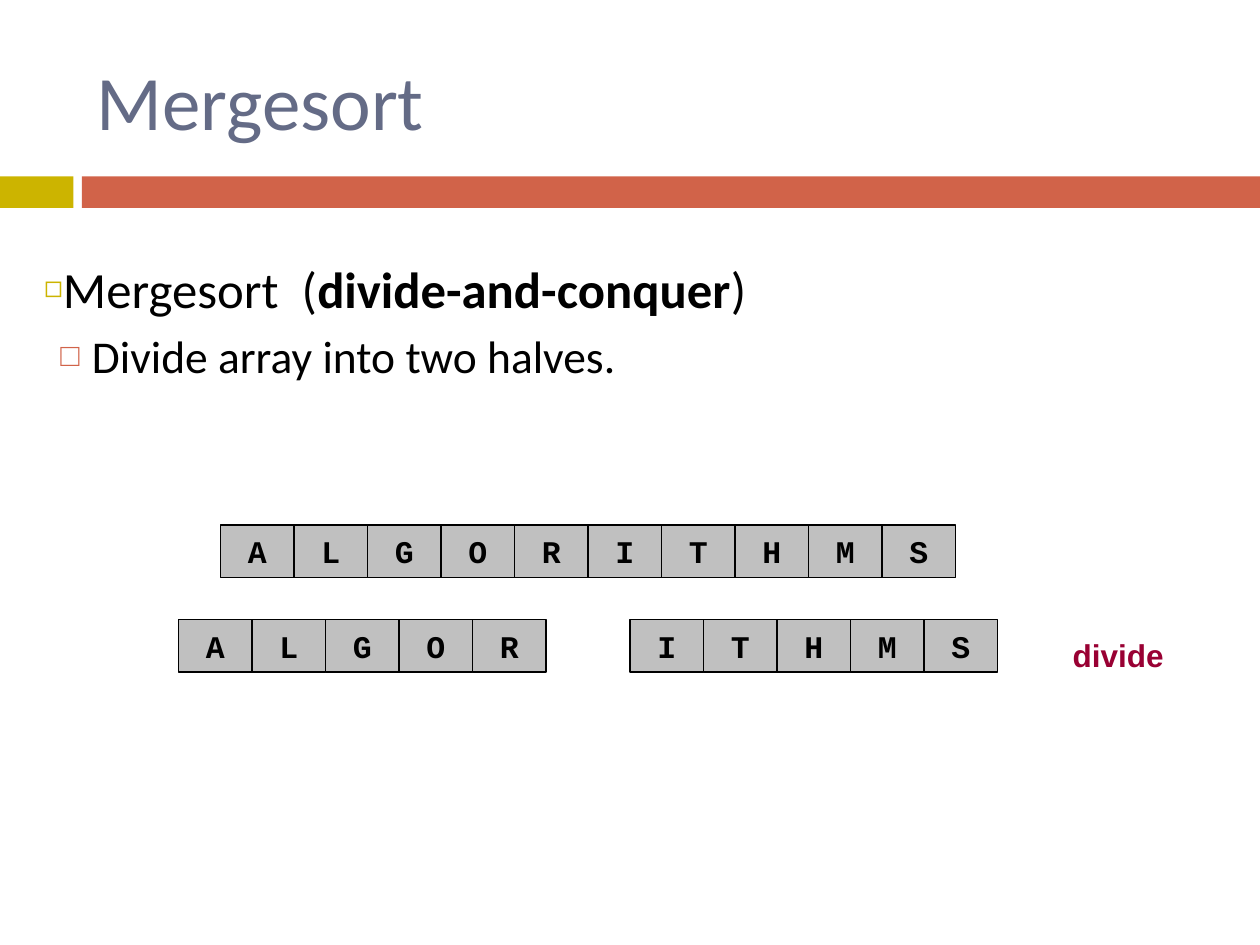
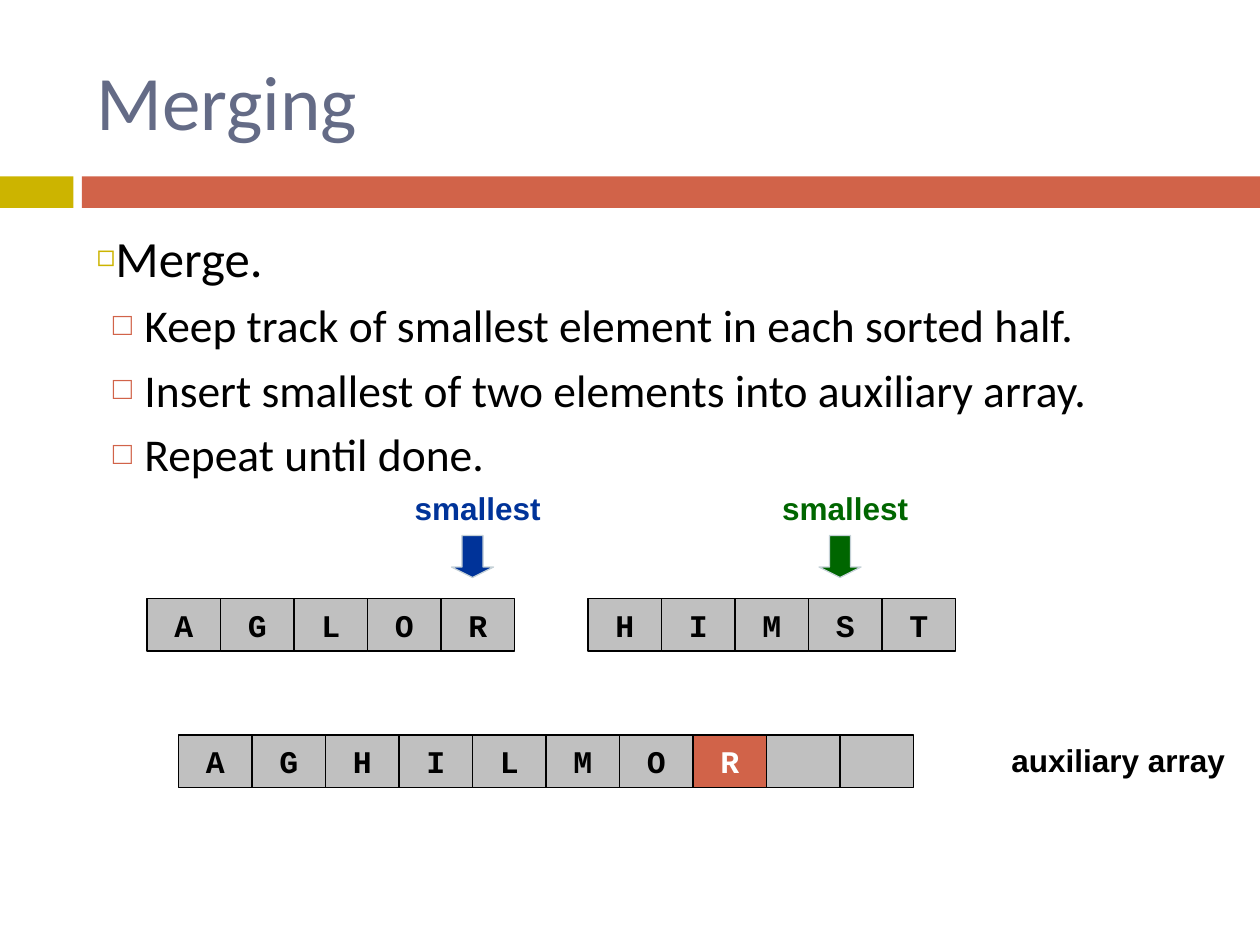
"""Build two slides that explain how mergesort divides and merges an array."""
from dataclasses import dataclass

from lxml import etree
from pptx import Presentation
from pptx.dml.color import RGBColor
from pptx.enum.shapes import MSO_SHAPE
from pptx.enum.text import MSO_ANCHOR, MSO_AUTO_SIZE, PP_ALIGN
from pptx.oxml.ns import qn
from pptx.util import Inches, Pt

RECTANGLE, DOWN_ARROW = MSO_SHAPE.RECTANGLE, MSO_SHAPE.DOWN_ARROW
LEFT, CENTER = PP_ALIGN.LEFT, PP_ALIGN.CENTER
TOP, MIDDLE = MSO_ANCHOR.TOP, MSO_ANCHOR.MIDDLE
NO_AUTOFIT = MSO_AUTO_SIZE.NONE

WIDTH, HEIGHT = Inches(10), Inches(7.5)
COLUMNS = 120
UNIT = WIDTH / COLUMNS
CELL_WIDTH, CELL_HEIGHT = 7, 5

BLACK, WHITE, SLATE = "000000", "FFFFFF", "646B86"
GOLD, RUST, SILVER = "CCB400", "D16349", "C0C0C0"
BLUE, GREEN, CRIMSON, MIST = "003399", "006600", "990033", "C5D1D7"
BODY_FONT, LABEL_FONT, CELL_FONT = "Calibri", "Arial", "Courier New"


@dataclass(frozen=True)
class Box:
    """A place on the slide in grid columns and rows."""
    column: float
    row: float
    columns: float
    rows: float

    def lengths(self) -> tuple[int, ...]:
        """Return left, top, width and height as slide lengths."""
        return tuple(round(n * UNIT) for n in
                     (self.column, self.row, self.columns, self.rows))


@dataclass(frozen=True)
class Level:
    """The look of one list level."""
    size: float
    space_before: float
    margin: float
    indent: float
    bullet: str
    bullet_color: str
    bullet_percent: int


@dataclass(frozen=True)
class Item:
    """A list line made of (text, bold) pieces."""
    level: int
    pieces: tuple[tuple[str, bool], ...]


@dataclass(frozen=True)
class Array:
    """A row of letter cells, with an optional highlighted index."""
    column: float
    row: float
    letters: str
    highlight: int = -1


@dataclass(frozen=True)
class Label:
    """A short bold caption."""
    text: str
    column: float
    row: float
    columns: float
    color: str


LEVELS = (Level(29, 7, 0, 0, "\u25fb", GOLD, 60),
          Level(26, 5.5, 0.38, -0.25, "\u25a1", RUST, 70))
TITLE_BOX = Box(8, 3, 107, 13)
BANDS = ((Box(0, 16.8, 7, 3), GOLD), (Box(7.8, 16.8, COLUMNS - 7.8, 3), RUST))


def rgb(color: str) -> RGBColor:
    """Turn a hex string into a colour."""
    return RGBColor.from_string(color)


def add_text(paragraph, text: str, *, font: str, size: float,
             color: str = BLACK, bold: bool = False) -> None:
    """Append a formatted run to a paragraph."""
    run = paragraph.add_run()
    run.text = text
    run.font.name, run.font.size, run.font.bold = font, Pt(size), bold
    run.font.color.rgb = rgb(color)


def add_block(slide, preset, box: Box, fill: str, line: str | None = None):
    """Draw a flat preset shape, outlined when a line colour is given."""
    block = slide.shapes.add_shape(preset, *box.lengths())
    block.shadow.inherit = False
    block.fill.solid()
    block.fill.fore_color.rgb = rgb(fill)
    if line:
        block.line.color.rgb = rgb(line)
        block.line.width = Pt(0.75)
    else:
        block.line.fill.background()
    return block


def add_array(slide, array: Array) -> None:
    """Draw adjoining cells; a space leaves its cell empty."""
    for index, letter in enumerate(array.letters):
        chosen = index == array.highlight
        box = Box(array.column + index * CELL_WIDTH, array.row,
                  CELL_WIDTH, CELL_HEIGHT)
        cell = add_block(slide, RECTANGLE, box, RUST if chosen else SILVER, BLACK)
        if letter.strip():
            frame = cell.text_frame
            frame.word_wrap = False
            frame.vertical_anchor = MIDDLE
            frame.paragraphs[0].alignment = CENTER
            add_text(frame.paragraphs[0], letter, font=CELL_FONT, size=18,
                     color=WHITE if chosen else BLACK, bold=True)


def add_label(slide, label: Label) -> None:
    """Write a centred caption."""
    box = Box(label.column, label.row, label.columns, 4.8)
    frame = slide.shapes.add_textbox(*box.lengths()).text_frame
    frame.word_wrap = True
    frame.paragraphs[0].alignment = CENTER
    add_text(frame.paragraphs[0], label.text, font=LABEL_FONT, size=18,
             color=label.color, bold=True)


def add_pointer(slide, column: float, row: float, color: str) -> None:
    """Draw the word smallest above a down arrow."""
    add_label(slide, Label("smallest", column, row, 25, color))
    arrow = add_block(slide, DOWN_ARROW, Box(column + 10, row + 5, 4, 4), color, MIST)
    arrow.adjustments[0], arrow.adjustments[1] = 0.5, 0.25


def format_item(paragraph, item: Item) -> None:
    """Write a list line with its level's bullet and spacing."""
    level = LEVELS[item.level]
    paragraph.level = item.level
    paragraph.alignment = LEFT
    paragraph.space_before = Pt(level.space_before)
    properties = paragraph._p.get_or_add_pPr()
    properties.set("marL", str(Inches(level.margin)))
    properties.set("indent", str(Inches(level.indent)))
    bullet_color = etree.SubElement(properties, qn("a:buClr"))
    etree.SubElement(bullet_color, qn("a:srgbClr"), val=level.bullet_color)
    etree.SubElement(properties, qn("a:buSzPct"), val=str(level.bullet_percent * 1000))
    etree.SubElement(properties, qn("a:buChar"), char=level.bullet)
    for text, bold in item.pieces:
        add_text(paragraph, text, font=BODY_FONT, size=level.size, bold=bold)


def place(placeholder, box: Box, anchor):
    """Move a placeholder and return its prepared text frame."""
    (placeholder.left, placeholder.top,
     placeholder.width, placeholder.height) = box.lengths()
    frame = placeholder.text_frame
    frame.auto_size = NO_AUTOFIT
    frame.word_wrap = True
    frame.vertical_anchor = anchor
    return frame


def add_slide(deck, layout, title: str, body_box: Box, items: tuple[Item, ...]):
    """Add a slide with its title and list."""
    slide = deck.slides.add_slide(layout)
    heading = place(slide.shapes.title, TITLE_BOX, MIDDLE).paragraphs[0]
    heading.alignment = LEFT
    add_text(heading, title, font=BODY_FONT, size=44, color=SLATE)
    body = place(slide.placeholders[1], body_box, TOP)
    for index, item in enumerate(items):
        format_item(body.add_paragraph() if index else body.paragraphs[0], item)
    return slide


def add_bands(slide, layout) -> None:
    """Draw the bands and hand them to the layout shared by all slides."""
    for box, color in BANDS:
        layout.shapes.element.append(add_block(slide, RECTANGLE, box, color).element)


def build_mergesort(deck, layout):
    """Show the array and its two halves."""
    slide = add_slide(deck, layout, "Mergesort", Box(3, 23.9, 115, 31), (
        Item(0, (("Mergesort  (", False), ("divide-and-conquer", True), (")", False))),
        Item(1, (("Divide array into two halves.", False),)),
    ))
    for array in (Array(21, 50, "ALGORITHMS"),
                  Array(17, 59, "ALGOR"), Array(60, 59, "ITHMS")):
        add_array(slide, array)
    add_label(slide, Label("divide", 97, 60, 19, CRIMSON))
    return slide


def build_merging(deck, layout) -> None:
    """Show the sorted halves merging into the auxiliary array."""
    steps = ("Keep track of smallest element in each sorted half.",
             "Insert smallest of two elements into auxiliary array.",
             "Repeat until done.")
    slide = add_slide(deck, layout, "Merging", Box(8, 21, 107, 59), (
        Item(0, (("Merge.", False),)),
        *(Item(1, ((step, False),)) for step in steps),
    ))
    add_label(slide, Label("auxiliary array", 95, 70, 23, BLACK))
    for column, color in ((33, BLUE), (68, GREEN)):
        add_pointer(slide, column, 46, color)
    for array in (Array(14, 57, "AGLOR"), Array(56, 57, "HIMST"),
                  Array(17, 70, "AGHILMOR  ", highlight=7)):
        add_array(slide, array)


def main() -> None:
    """Build and save the deck."""
    deck = Presentation()
    deck.slide_width, deck.slide_height = WIDTH, HEIGHT
    layout = deck.slide_layouts[1]
    add_bands(build_mergesort(deck, layout), layout)
    build_merging(deck, layout)
    deck.save("out.pptx")


main()
